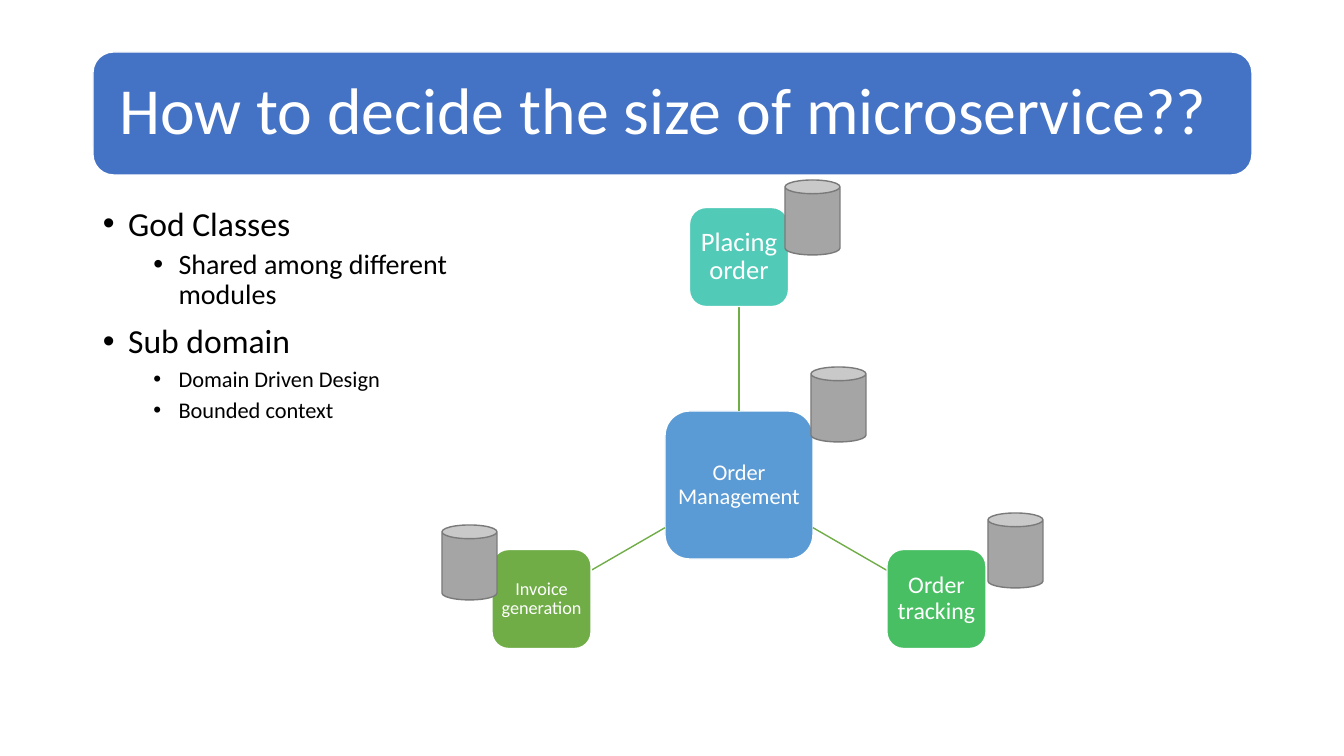
"""Build a slide on choosing the size of a microservice."""
import math

from lxml import etree
from pptx import Presentation
from pptx import util as u
from pptx.dml.color import RGBColor
from pptx.enum import shapes, text
from pptx.oxml import ns

TITLE = "How to decide the size of microservice??"
BULLETS = [
    ("God Classes", 0, 24),
    ("Shared among different modules", 1, 20),
    ("Sub domain", 0, 24),
    ("Domain Driven Design", 1, 16),
    ("Bounded context", 1, 16),
]
HUB = ("Order Management", "hub", 16)
SERVICES = [
    ("Placing order", "placing", 19, -90),
    ("Order tracking", "tracking", 17, 30),
    ("Invoice generation", "invoice", 13, 150),
]
DATABASES = [(811, 367), (988, 513), (785, 180), (442, 525)]
COLOURS = {
    "white": "FFFFFF", "black": "000000", "banner": "4472C4", "hub": "5B9BD5",
    "placing": "52CAB8", "tracking": "49BF64", "invoice": "70AD47",
    "link": "70AD47", "database": "A5A5A5", "database edge": "7A7A7A",
}
FONT = "Calibri"
EMU_PER_PX = 914400 / 100.8
BANNER_BOX = (93, 52, 1159, 123)
TITLE_BOX = (99, 57, 1147, 112)
BODY_BOX = (93, 202, 438, 480)
HUB_CENTRE = (739, 485)
HUB_SIZE, SERVICE_SIZE, ORBIT = 148, 99, 228
DATABASE_SIZE = (55, 75)
MARGINS = ("margin_left", "margin_top", "margin_right", "margin_bottom")


def px(value):
    return u.Emu(round(value * EMU_PER_PX))


def colour(name):
    return RGBColor.from_string(COLOURS[name])


def apply(target, formats):
    for name, value in formats.items():
        setattr(target, name, value)


def place(shape, box):
    apply(shape, dict(zip(("left", "top", "width", "height"), map(px, box))))


def set_frame(shape, inset, anchor):
    formats = {name: px(inset) for name in MARGINS}
    apply(shape.text_frame, formats | {
        "word_wrap": True, "vertical_anchor": anchor,
        "auto_size": text.MSO_AUTO_SIZE.NONE})


def write(paragraph, words, size, ink, align, before=0):
    paragraph.text = words
    apply(paragraph, {"alignment": align, "line_spacing": 0.9,
                      "space_before": u.Pt(before), "space_after": u.Pt(0)})
    apply(paragraph.font, {"name": FONT, "size": u.Pt(size), "bold": False})
    paragraph.font.color.rgb = colour(ink)


def add_bullet(paragraph, level):
    properties = paragraph._p.get_or_add_pPr()
    properties.set("marL", str(u.Inches(0.75 if level else 0.25)))
    properties.set("indent", str(-u.Inches(0.25)))
    etree.SubElement(properties, ns.qn("a:buFont")).set("typeface", "Arial")
    etree.SubElement(properties, ns.qn("a:buChar")).set("char", "•")


def add_block(slide, kind, box, fill, edge):
    block = slide.shapes.add_shape(kind, *map(px, box))
    block.shadow.inherit = False
    block.fill.solid()
    block.fill.fore_color.rgb = colour(fill)
    block.line.color.rgb = colour(edge)
    block.line.width = u.Pt(1)
    return block


def add_node(slide, centre, size, words, fill, points):
    box = (centre[0] - size / 2, centre[1] - size / 2, size, size)
    node = add_block(slide, shapes.MSO_SHAPE.ROUNDED_RECTANGLE, box, fill, "white")
    set_frame(node, 4, text.MSO_ANCHOR.MIDDLE)
    write(node.text_frame.paragraphs[0], words, points, "white", text.PP_ALIGN.CENTER)


def along(angle, distance):
    return (HUB_CENTRE[0] + distance * math.cos(angle),
            HUB_CENTRE[1] + distance * math.sin(angle))


def add_link(slide, angle):
    reach = 2 * max(abs(math.cos(angle)), abs(math.sin(angle)))
    start = along(angle, HUB_SIZE / reach)
    end = along(angle, ORBIT - SERVICE_SIZE / reach)
    link = slide.shapes.add_connector(
        shapes.MSO_CONNECTOR.STRAIGHT, *map(px, start + end))
    link.line.color.rgb = colour("link")
    link.line.width = u.Pt(1)
    etree.SubElement(link._element.spPr, ns.qn("a:effectLst"))


def add_title(slide):
    title = slide.shapes.title
    banner = add_block(slide, shapes.MSO_SHAPE.ROUNDED_RECTANGLE,
                       BANNER_BOX, "banner", "white")
    title._element.addprevious(banner._element)
    place(title, TITLE_BOX)
    set_frame(title, 20, text.MSO_ANCHOR.MIDDLE)
    write(title.text_frame.paragraphs[0], TITLE, 47, "white", text.PP_ALIGN.LEFT)


def add_body(slide):
    body = slide.placeholders[1]
    place(body, BODY_BOX)
    set_frame(body, 5, text.MSO_ANCHOR.TOP)
    body.text_frame.margin_left = body.text_frame.margin_right = px(10)
    for index, (words, level, size) in enumerate(BULLETS):
        frame = body.text_frame
        paragraph = frame.add_paragraph() if index else frame.paragraphs[0]
        paragraph.level = level
        add_bullet(paragraph, level)
        before = (5 if level else 10) if index else 0
        write(paragraph, words, size, "black", text.PP_ALIGN.LEFT, before)


def add_diagram(slide):
    add_node(slide, HUB_CENTRE, HUB_SIZE, *HUB)
    for words, fill, points, degrees in SERVICES:
        angle = math.radians(degrees)
        add_link(slide, angle)
        add_node(slide, along(angle, ORBIT), SERVICE_SIZE, words, fill, points)
    for corner in DATABASES:
        add_block(slide, shapes.MSO_SHAPE.CAN, corner + DATABASE_SIZE,
                  "database", "database edge")


def main():
    presentation = Presentation()
    presentation.slide_width, presentation.slide_height = px(1344), px(756)
    slide = presentation.slides.add_slide(presentation.slide_layouts[1])
    add_title(slide)
    add_body(slide)
    add_diagram(slide)
    presentation.save("out.pptx")


if __name__ == "__main__":
    main()
